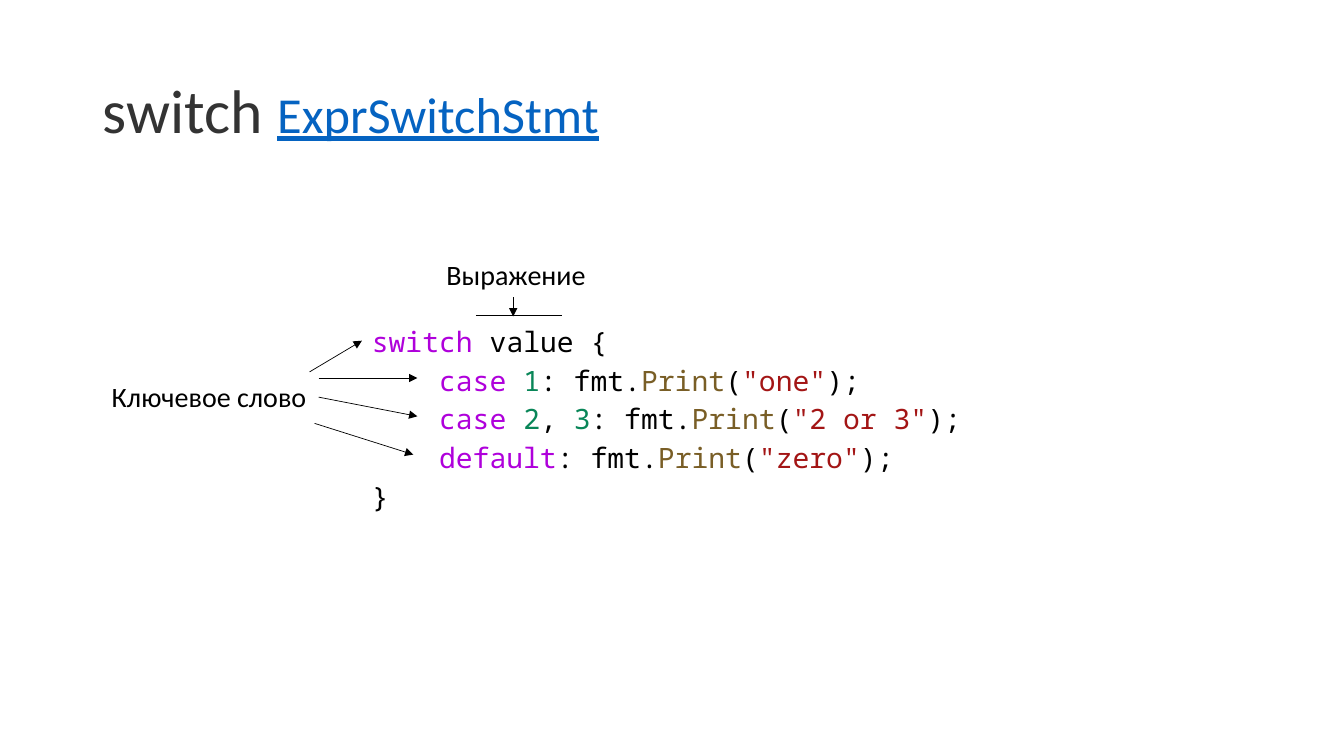
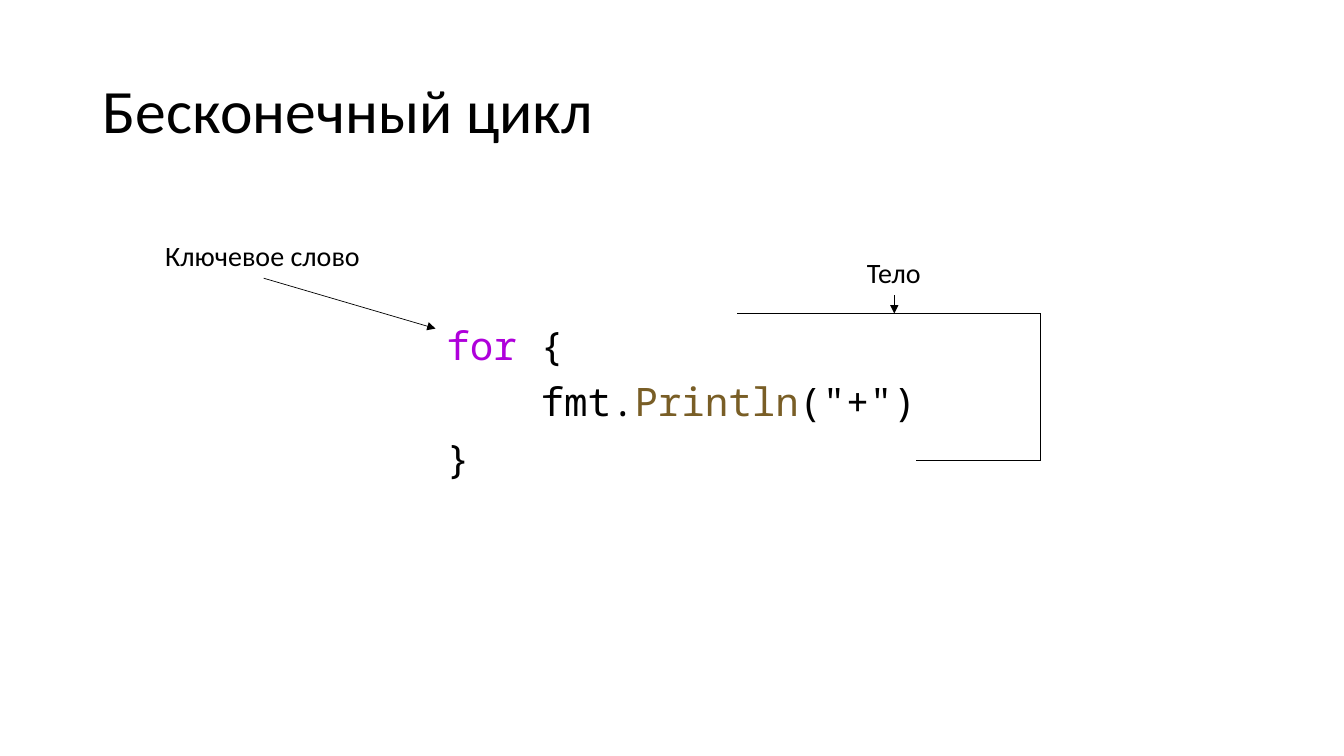
import pptx
import pptx.util
import pptx.dml.color
import pptx.enum.shapes
import pptx.enum.text
import pptx.oxml.ns
import lxml.etree

WIDTH, HEIGHT = 13.33, 7.5
TEXT_FONT, CODE_FONT = "Calibri", "Noto Sans Mono"
LABEL_SIZE, LABEL_HEIGHT = 20, 0.44
LINE_PITCH, CHAR_WIDTH, INDENT_CHARS = 1.084, 0.6, 4
BOTTOM, RIGHT = 2, 3
COLORS = {
    "text": "000000",
    "title": "333333",
    "link": "0563C1",
    "keyword": "AF00DB",
    "number": "098658",
    "function": "795E26",
    "string": "A31515",
}

SLIDES = [
    {
        "title": [("switch ", "title", 44), ("ExprSwitchStmt", "link", 36)],
        "code": {
            "at": (3.59, 3.2), "size": 20, "gap": 6,
            "lines": [
                (0, [("switch", "keyword"), (" value {", "text")]),
                (1, [("case ", "keyword"), ("1", "number"), (": fmt.", "text"),
                     ("Print", "function"), ("(", "text"), ('"one"', "string"), (");", "text")]),
                (1, [("case ", "keyword"), ("2", "number"), (", ", "text"), ("3", "number"),
                     (": fmt.", "text"), ("Print", "function"), ("(", "text"),
                     ('"2 or 3"', "string"), (");", "text")]),
                (1, [("default", "keyword"), (": fmt.", "text"), ("Print", "function"),
                     ("(", "text"), ('"zero"', "string"), (");", "text")]),
                (0, [("}", "text")]),
            ],
        },
        "labels": {"Ключевое слово": (1.01, 3.72, 2.15), "Выражение": (4.33, 2.51, 1.6)},
        "arrows": [
            ((5.09, 2.95), (5.09, 3.14)),
            (("Ключевое слово", RIGHT), (4.14, 4.13)),
            ((3.16, 3.75), (4.14, 3.75)),
            ((3.12, 4.2), (4.1, 4.51)),
            ((3.07, 3.69), (3.59, 3.38)),
        ],
        "bracket": [(4.72, 3.13), (5.57, 3.13)],
    },
    {
        "title": [("Бесконечный цикл", "text", 44)],
        "code": {
            "at": (4.33, 3.18), "size": 28, "gap": 10,
            "lines": [
                (0, [("for", "keyword"), (" {", "text")]),
                (1, [("fmt.", "text"), ("Println", "function"), ('("+")', "text")]),
                (0, [("}", "text")]),
            ],
        },
        "labels": {"Ключевое слово": (1.54, 2.32, 2.15), "Тело": (8.5, 2.49, 0.74)},
        "arrows": [
            (("Ключевое слово", BOTTOM), (4.32, 3.26)),
            (("Тело", BOTTOM), (8.87, 3.11)),
        ],
        "bracket": [(7.31, 3.11), (10.32, 3.11), (10.32, 4.57), (9.09, 4.57)],
    },
]


def inches(*values):
    return [pptx.util.Inches(v) for v in values]


def add_run(p, text, color, size, font=TEXT_FONT):
    r = p.add_run()
    r.text = text
    r.font.name = font
    r.font.size = pptx.util.Pt(size)
    r.font.color.rgb = pptx.dml.color.RGBColor.from_string(COLORS[color])
    return r


def set_title(s, parts):
    sp = s.shapes.title
    sp.left, sp.top, sp.width, sp.height = inches(0.92, 0.4, 11.5, 1.45)
    tf = sp.text_frame
    tf.auto_size = pptx.enum.text.MSO_AUTO_SIZE.NONE
    tf.vertical_anchor = pptx.enum.text.MSO_ANCHOR.MIDDLE
    p = tf.paragraphs[0]
    p.alignment = pptx.enum.text.PP_ALIGN.LEFT
    p.line_spacing = 0.9
    for text, color, size in parts:
        r = add_run(p, text, color, size)
        if color == "link":
            r.font.underline = True


def add_code(s, at, size, gap, lines):
    left, top = at
    pitch = size * LINE_PITCH
    height = len(lines) * (pitch + gap) / 72 + 0.1
    tf = s.shapes.add_textbox(*inches(left, top, WIDTH - left - 0.17, height)).text_frame
    tf.word_wrap = True
    for i, (level, tokens) in enumerate(lines):
        p = tf.add_paragraph() if i else tf.paragraphs[0]
        p.line_spacing = pptx.util.Pt(pitch)
        p.space_after = pptx.util.Pt(gap)
        indent = pptx.util.Pt(level * INDENT_CHARS * CHAR_WIDTH * size)
        p._p.get_or_add_pPr().set("marL", str(int(indent)))
        for text, color in tokens:
            add_run(p, text, color, size, CODE_FONT)


def add_label(s, text, left, top, width):
    sp = s.shapes.add_textbox(*inches(left, top, width, LABEL_HEIGHT))
    sp.text_frame.word_wrap = False
    add_run(sp.text_frame.paragraphs[0], text, "text", LABEL_SIZE)
    return sp


def add_line(s, start, end, arrow=False):
    line = s.shapes.add_connector(
        pptx.enum.shapes.MSO_CONNECTOR.STRAIGHT, *inches(*start, *end))
    line.line.width = pptx.util.Pt(0.5)
    line.line.color.rgb = pptx.dml.color.RGBColor.from_string(COLORS["text"])
    if arrow:
        tail = lxml.etree.SubElement(line.line._get_or_add_ln(), pptx.oxml.ns.qn("a:tailEnd"))
        tail.set("type", "triangle")
    lxml.etree.SubElement(line._element.spPr, pptx.oxml.ns.qn("a:effectLst"))
    return line


def build_slide(prs, content):
    s = prs.slides.add_slide(prs.slide_layouts.get_by_name("Title Only"))
    set_title(s, content["title"])
    add_code(s, **content["code"])
    labels = {text: add_label(s, text, *box) for text, box in content["labels"].items()}
    for start, end in content["arrows"]:
        if start[0] in labels:
            name, side = start
            add_line(s, end, end, arrow=True).begin_connect(labels[name], side)
        else:
            add_line(s, start, end, arrow=True)
    corners = content["bracket"]
    for start, end in zip(corners, corners[1:]):
        add_line(s, start, end)


def main():
    prs = pptx.Presentation()
    prs.slide_width, prs.slide_height = inches(WIDTH, HEIGHT)
    for content in SLIDES:
        build_slide(prs, content)
    prs.save("out.pptx")


if __name__ == "__main__":
    main()
